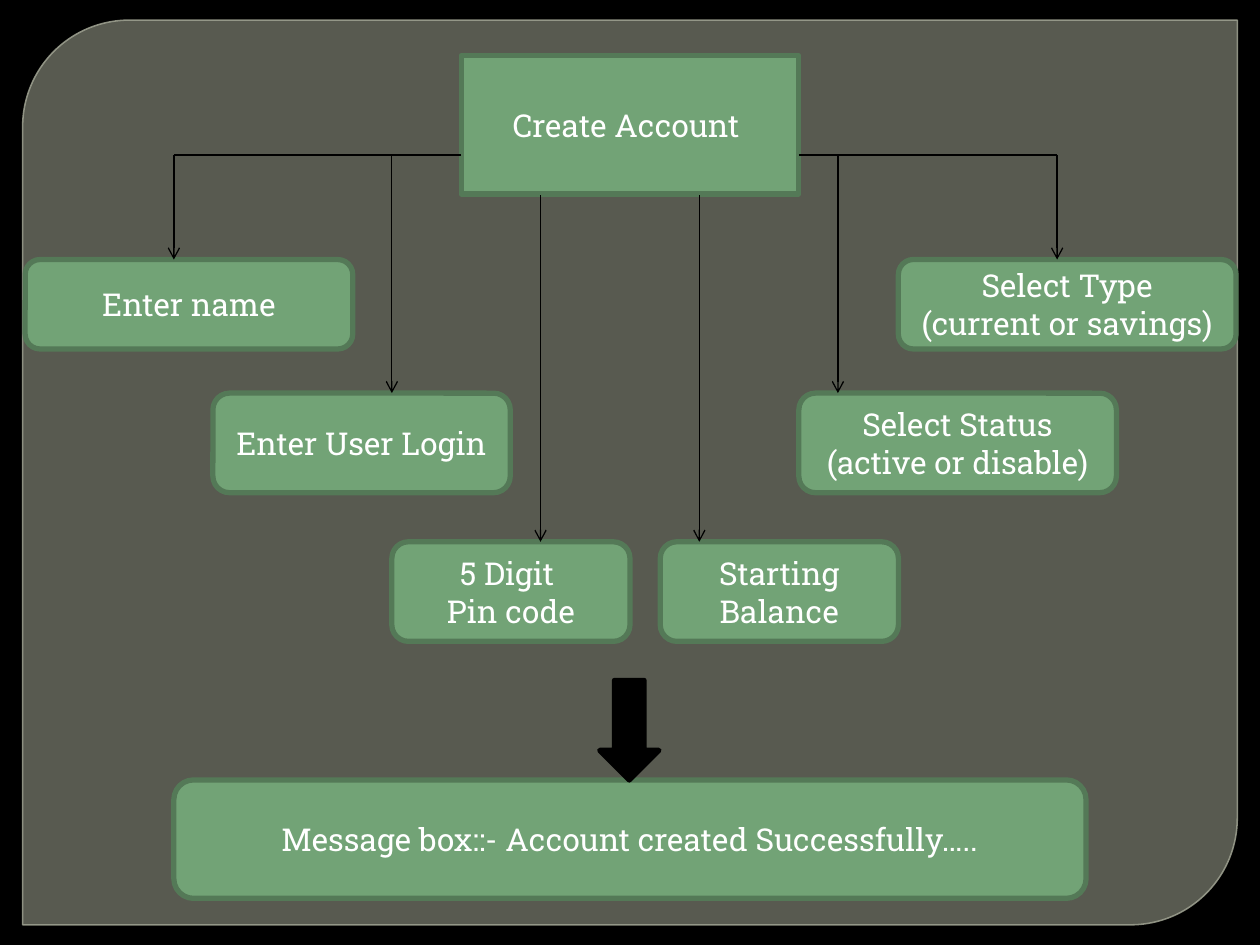
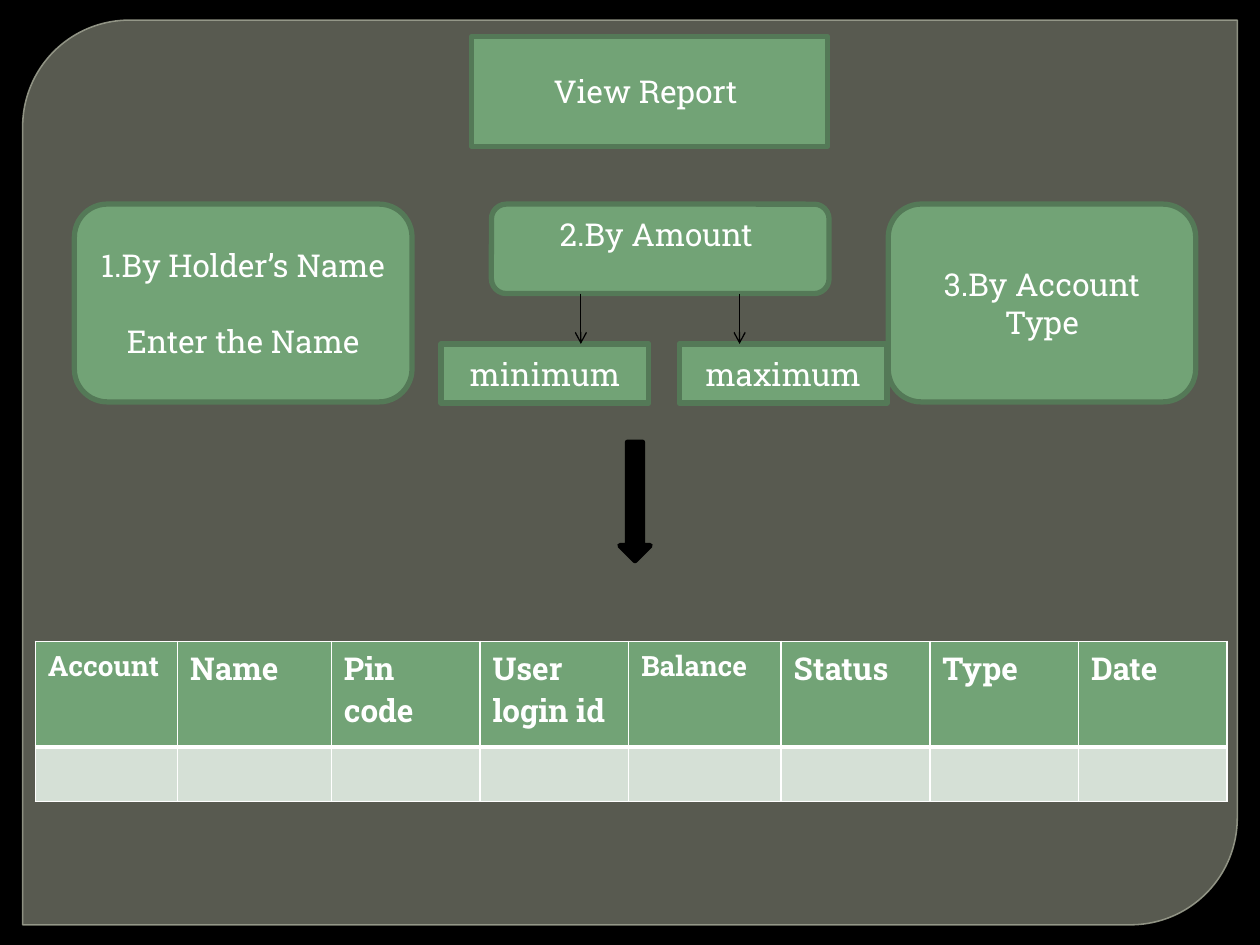
from lxml import etree
from pptx import Presentation
from pptx.dml.color import RGBColor
from pptx.enum.shapes import MSO_CONNECTOR as Link, MSO_SHAPE as Kind
from pptx.enum.text import MSO_ANCHOR as Anchor, MSO_AUTO_SIZE as Fit, PP_ALIGN as Align
from pptx.oxml import parse_xml
from pptx.oxml.ns import nsdecls, qn
from pptx.util import Inches, Pt

BLACK = RGBColor(0x00, 0x00, 0x00)
WHITE = RGBColor(0xFF, 0xFF, 0xFF)
GREEN = RGBColor(0x72, 0xA3, 0x76)
EDGE = RGBColor(0x54, 0x79, 0x57)
PALE = RGBColor(0xD5, 0xE0, 0xD6)
PANEL = RGBColor(0x88, 0x8B, 0x7B)
RIM = RGBColor(0x9D, 0xA0, 0x90)
FONT = "Roboto Slab"


def paint(shape, spot, lines=(), fill=GREEN, edge=EDGE):
    """Place a shape, colour it and fill in its centred text."""
    shape.left, shape.top, shape.width, shape.height = map(Inches, spot)
    shape.shadow.inherit = False
    shape.fill.solid()
    shape.fill.fore_color.rgb = fill
    shape.line.color.rgb = edge
    shape.line.width = Pt(3)
    frame = shape.text_frame
    frame.word_wrap = True
    frame.auto_size = Fit.NONE
    frame.vertical_anchor = Anchor.MIDDLE
    for i, line in enumerate(lines):
        para = frame.add_paragraph() if i else frame.paragraphs[0]
        para.alignment = Align.CENTER
        run = para.add_run()
        run.text = line
        run.font.name = FONT
        run.font.size = Pt(18)
        run.font.color.rgb = WHITE
    return shape


def wire(slide, x1, y1, x2, y2, head=True):
    """Draw a thin black line, with an open arrowhead if wanted."""
    line = slide.shapes.add_connector(Link.STRAIGHT, *map(Inches, (x1, y1, x2, y2)))
    line.line.color.rgb = BLACK
    line.line.width = Pt(0.75)
    if head:
        etree.SubElement(line.line._get_or_add_ln(), qn("a:tailEnd"), type="arrow")
    etree.SubElement(line._element.spPr, qn("a:effectLst"))


deck = Presentation()
deck.slide_width, deck.slide_height = Inches(10), Inches(7.5)

# Shared look: black ground, rounded panel, title box
heads = [
    ("Create Account ", (3.66, 0.44, 2.68, 1.1)),
    ("View Report ", (3.74, 0.29, 2.83, 0.87)),
]
for text, spot in heads:
    slide = deck.slides.add_slide(deck.slide_layouts[5])
    slide.background.fill.solid()
    slide.background.fill.fore_color.rgb = BLACK
    paint(slide.shapes.title, spot, [text])
    panel = slide.shapes.add_shape(Kind.ROUND_2_DIAG_RECTANGLE, 0, 0, 0, 0)
    paint(panel, (0.18, 0.16, 9.64, 7.18), fill=PANEL, edge=RIM)
    panel.adjustments[0], panel.adjustments[1] = 0.118, 0
    panel.line.width = Pt(0.87)
    for tint, part in zip(panel._element.iter(qn("a:srgbClr")), (65, 88)):
        etree.SubElement(tint, qn("a:alpha"), val=str(part * 1000))
    slide.shapes._spTree.insert(2, panel._element)
form, report = deck.slides

# Account form: fields
fields = [
    (0.2, 2.06, 2.6, 0.71, ["Enter name"]),
    (1.69, 3.12, 2.36, 0.79, ["Enter User Login"]),
    (3.11, 4.3, 1.89, 0.79, ["5 Digit ", "Pin code"]),
    (5.24, 4.3, 1.89, 0.79, ["Starting Balance"]),
    (6.34, 3.12, 2.52, 0.79, ["Select Status", "(active or disable)"]),
    (7.13, 2.06, 2.68, 0.71, ["Select Type", "(current or savings)"]),
    (1.38, 6.19, 7.24, 0.94, ["Message box::- Account created Successfully….."]),
]
for *spot, lines in fields:
    paint(form.shapes.add_shape(Kind.ROUNDED_RECTANGLE, 0, 0, 0, 0), spot, lines)

# Account form: side rails and drops to the fields
for start, end in [(3.66, 1.38), (6.34, 8.39)]:
    wire(form, start, 1.23, end, 1.23, head=False)
drops = [(1.38, 1.23, 2.06), (3.11, 1.23, 3.12), (4.29, 1.55, 4.3),
         (5.55, 1.55, 4.3), (8.39, 1.23, 2.06), (6.65, 1.23, 3.12)]
for x, top, foot in drops:
    wire(form, x, top, x, foot)

# Report: search options
options = [
    (0.59, 2.68, 1.57, ["1.By Holder’s Name", "Enter the Name"]),
    (3.9, 2.68, 0.71, ["2.By Amount "]),
    (7.05, 2.44, 1.57, ["3.By Account Type"]),
]
cards = []
for x, wide, high, lines in options:
    card = report.shapes.add_shape(Kind.ROUNDED_RECTANGLE, 0, 0, 0, 0)
    cards.append(paint(card, (x, 1.62, wide, high), lines))
holder, amount, _ = cards
holder.text_frame.paragraphs[1].space_before = Pt(22)
amount.text_frame.vertical_anchor = Anchor.TOP

# Report: amount limits
for x, drop, text in [(3.5, 4.61, "minimum"), (5.39, 5.87, "maximum")]:
    limit = report.shapes.add_shape(Kind.RECTANGLE, 0, 0, 0, 0)
    paint(limit, (x, 2.73, 1.65, 0.47), [text])
    wire(report, drop, 2.33, drop, 2.73)

# Block arrows to the outcome
for slide, spot in [(form, (4.76, 5.4, 0.47, 0.79)), (report, (4.92, 3.51, 0.24, 0.94))]:
    arrow = slide.shapes.add_shape(Kind.DOWN_ARROW, 0, 0, 0, 0)
    paint(arrow, spot, fill=BLACK, edge=BLACK)

# Report: result table
columns = [
    ("Account", 1.13, 16), ("Name", 1.22, 18), ("Pin code", 1.18, 18),
    ("User login id", 1.18, 18), ("Balance", 1.21, 16), ("Status", 1.18, 18),
    ("Type", 1.18, 18), ("Date", 1.18, 18),
]
area = map(Inches, (0.28, 5.09, 9.46, 1.27))
table = report.shapes.add_table(2, len(columns), *area).table
table.rows[0].height, table.rows[1].height = Inches(0.84), Inches(0.43)
for i, (text, wide, size) in enumerate(columns):
    table.columns[i].width = Inches(wide)
    for row, fill in enumerate((GREEN, PALE)):
        cell = table.cell(row, i)
        props = cell._tc.get_or_add_tcPr()
        for side in "LRTB":
            thick = (side, row) in (("B", 0), ("T", 1))
            props.append(parse_xml(
                f'<a:ln{side} {nsdecls("a")} w="{Pt(3 if thick else 1)}">'
                f'<a:solidFill><a:srgbClr val="{WHITE}"/></a:solidFill></a:ln{side}>'))
        cell.fill.solid()
        cell.fill.fore_color.rgb = fill
    run = table.cell(0, i).text_frame.paragraphs[0].add_run()
    run.text = text
    run.font.name = FONT
    run.font.size = Pt(size)
    run.font.bold = True
    run.font.color.rgb = WHITE

deck.save("out.pptx")
